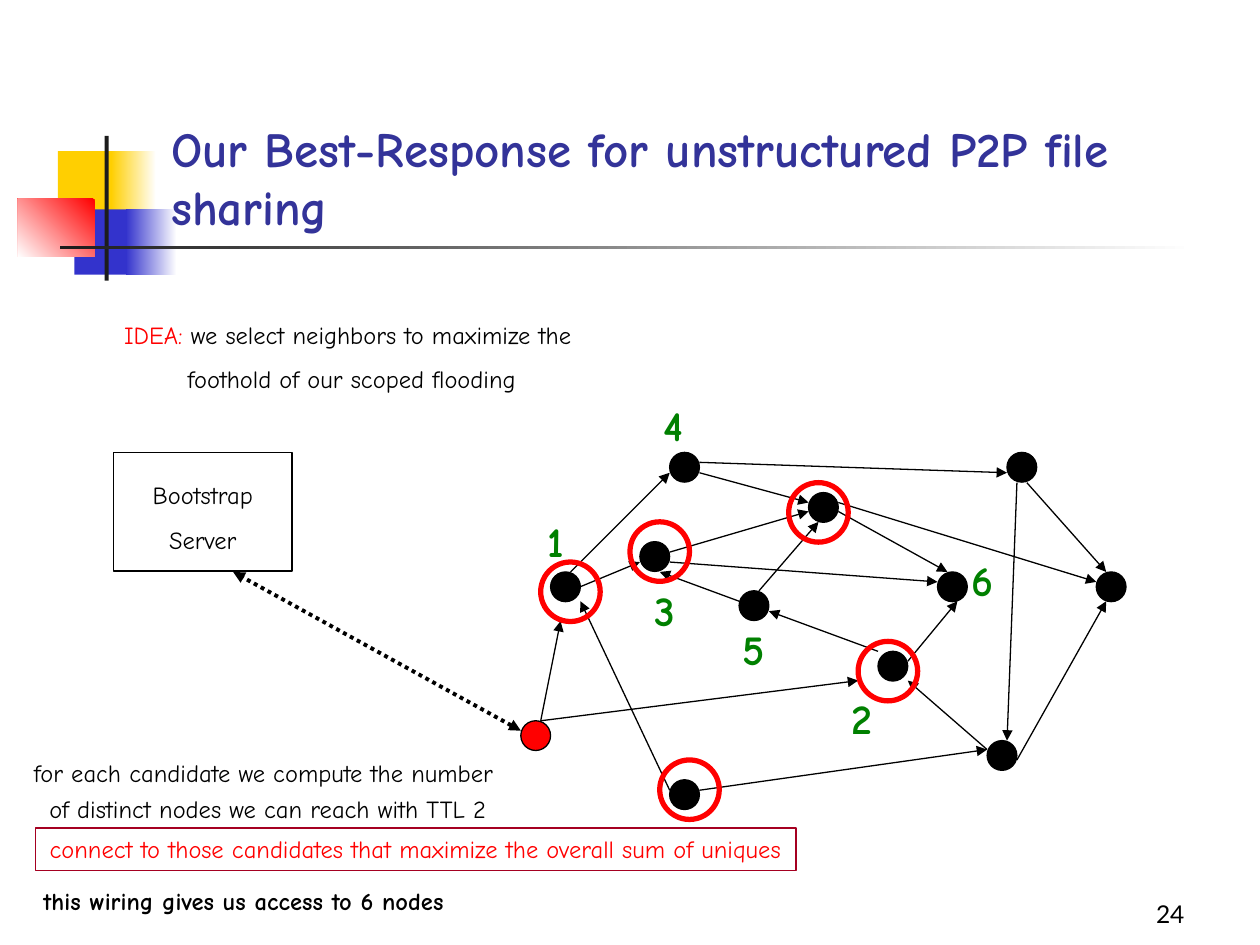
from lxml import etree
from pptx import Presentation
from pptx.dml.color import RGBColor
from pptx.enum.dml import MSO_LINE
from pptx.enum.shapes import MSO_CONNECTOR, MSO_SHAPE
from pptx.enum.text import MSO_ANCHOR, MSO_AUTO_SIZE, PP_ALIGN
from pptx.oxml.ns import qn
from pptx.util import Cm, Pt

RECT, OVAL = MSO_SHAPE.RECTANGLE, MSO_SHAPE.OVAL
STRAIGHT = MSO_CONNECTOR.STRAIGHT
DOTTED = MSO_LINE.ROUND_DOT
TOP, MIDDLE, BOTTOM = MSO_ANCHOR.TOP, MSO_ANCHOR.MIDDLE, MSO_ANCHOR.BOTTOM
LEFT, CENTER, RIGHT = PP_ALIGN.LEFT, PP_ALIGN.CENTER, PP_ALIGN.RIGHT
NO_FIT = MSO_AUTO_SIZE.NONE

FONT = "Comic Neue"
BLACK, WHITE, RED, GREEN = "000000", "FFFFFF", "FF0000", "008000"
YELLOW, BLUE, DARK = "FFCF01", "3333CC", "1C1C1C"
NODE, RING = 0.6, 1.2  # diameters in cm

# Top left corners in cm
SOURCE = (10.5, 14.53)
PEERS = [(12.9, 10.92), (14.9, 11.91), (17.7, 13.13), (13.5, 15.72),
         (13.5, 9.12), (16.3, 9.93), (18.9, 11.53), (19.9, 14.93),
         (22.1, 11.53), (20.3, 9.12), (11.1, 11.53)]
CANDIDATE_RINGS = [(10.9, 11.33), (12.7, 10.52), (15.9, 9.73),
                   (13.3, 15.32), (17.3, 12.93)]

# Start x, y and end x, y of each overlay link
LINKS = [
    (10.9, 14.53, 11.3, 12.52), (10.9, 14.53, 17.3, 13.72),
    (11.5, 11.53, 13.5, 9.53), (11.5, 11.91, 12.9, 11.33),
    (13.5, 11.13, 16.3, 10.31), (13.5, 11.33, 18.9, 11.73),
    (14.1, 15.93, 19.9, 15.11), (18.3, 13.33, 19.3, 12.12),
    (17.7, 13.13, 15.5, 12.32), (14.1, 9.53, 16.3, 10.13),
    (14.1, 9.32, 20.3, 9.53), (15.3, 11.91, 16.5, 10.52),
    (14.9, 12.12, 13.3, 11.53), (13.5, 15.93, 11.7, 12.12),
    (16.9, 10.31, 19.1, 11.53), (16.9, 10.13, 22.1, 11.73),
    (20.7, 9.73, 22.3, 11.53), (20.5, 9.73, 20.3, 14.93),
    (19.9, 15.11, 18.3, 13.72), (20.5, 15.32, 22.3, 12.12),
]

# Number, centre x and top of its label
REACHED = [("1", 11.21, 10.26), ("2", 17.37, 13.84), ("3", 13.41, 11.66),
           ("4", 13.58, 7.92), ("5", 15.2, 12.45), ("6", 19.8, 11.05)]


def rgb(value):
    return RGBColor.from_string(value)


def write(shape, text, size=14, color=BLACK, bold=False, font=FONT,
          align=CENTER, anchor=TOP, wrap=True, gap=0, lead=""):
    """Fill a shape with text; lead is a red opening on the first line."""
    tf = shape.text_frame
    tf.auto_size, tf.word_wrap, tf.vertical_anchor = NO_FIT, wrap, anchor
    for i, line in enumerate(text.split("\n")):
        p = tf.add_paragraph() if i else tf.paragraphs[0]
        p.alignment = align
        p.space_before = Pt(gap if i else 0)
        runs = [(line, color)]
        if lead and i == 0:
            runs.insert(0, (lead, RED))
        for part, tint in runs:
            r = p.add_run()
            r.text = part
            r.font.name, r.font.size, r.font.bold = font, Pt(size), bold
            r.font.color.rgb = rgb(tint)


def add_text(s, box, text, **fmt):
    write(s.shapes.add_textbox(*map(Cm, box)), text, **fmt)


def add_shape(s, kind, box, fill=None, line=None, width=0.75):
    sp = s.shapes.add_shape(kind, *map(Cm, box))
    sp.shadow.inherit = False
    if fill:
        sp.fill.solid()
        sp.fill.fore_color.rgb = rgb(fill)
    else:
        sp.fill.background()
    if line:
        sp.line.color.rgb = rgb(line)
        sp.line.width = Pt(width)
    else:
        sp.line.fill.background()
    return sp


def add_fade(s, box, start, end, angle=180):
    sp = add_shape(s, RECT, box)
    sp.fill.gradient()
    sp.fill.gradient_angle = angle
    for stop, color in zip(sp.fill.gradient_stops, (start, end)):
        stop.color.rgb = rgb(color)


def add_arrow(s, ends, width=0.75, dash=None, heads=("tailEnd",)):
    c = s.shapes.add_connector(STRAIGHT, *map(Cm, ends))
    c.line.color.rgb = rgb(BLACK)
    c.line.width = Pt(width)
    if dash:
        c.line.dash_style = dash
    ln = c.line._get_or_add_ln()
    for head in heads:
        etree.SubElement(ln, qn(f"a:{head}"), type="triangle")
    etree.SubElement(c._element.spPr, qn("a:effectLst"))


def add_decoration(s):
    add_shape(s, RECT, (1.17, 3.05, 1.22, 1.32), YELLOW)
    add_fade(s, (2.24, 3.05, 0.91, 1.32), WHITE, YELLOW)
    add_shape(s, RECT, (1.5, 4.22, 1.17, 1.32), BLUE)
    add_fade(s, (2.54, 4.22, 1.02, 1.32), WHITE, BLUE)
    add_fade(s, (0.36, 4.01, 1.55, 1.17), RED, WHITE, 225)
    add_shape(s, RECT, (2.11, 2.74, 0.08, 2.92), DARK)
    add_fade(s, (1.22, 4.95, 22.86, 0.08), WHITE, DARK)


def add_title(s, text):
    title = s.shapes.title
    title.left, title.top = Cm(3.2), Cm(1.7)
    title.width, title.height = Cm(21.64), Cm(3.18)
    write(title, text, size=28, color="333399", bold=True,
          align=LEFT, anchor=BOTTOM)
    s.shapes._spTree.append(title._element)  # in front of the decoration


def add_network(s):
    add_shape(s, OVAL, (*SOURCE, NODE, NODE), RED, BLACK)
    for peer in PEERS:
        add_shape(s, OVAL, (*peer, NODE, NODE), BLACK, BLACK)
    for link in LINKS:
        add_arrow(s, link)
    for ring in CANDIDATE_RINGS:
        add_shape(s, OVAL, (*ring, RING, RING), line=RED, width=3)
    for number, center, top in REACHED:
        add_text(s, (center - 0.45, top, 0.9, 1.27), number, size=24,
                 color=GREEN, bold=True, wrap=False)


def add_bootstrap(s):
    server = add_shape(s, RECT, (2.29, 9.12, 3.6, 2.39), line=BLACK)
    server.text_frame.margin_top = Cm(0.35)
    write(server, "Bootstrap\nServer", anchor=MIDDLE, gap=8.8)
    add_arrow(s, (10.5, 14.73, 4.7, 11.53), 2.25, DOTTED,
              ("headEnd", "tailEnd"))


def main():
    prs = Presentation()
    prs.slide_width, prs.slide_height = Cm(25.4), Cm(19.05)
    s = prs.slides.add_slide(prs.slide_layouts[5])

    add_decoration(s)
    add_title(s, "Our Best-Response for unstructured P2P file sharing")
    add_text(s, (1.09, 6.32, 12.01, 2.67),
             " we select neighbors to maximize the \n"
             "foothold of our scoped flooding", lead="IDEA:", gap=8.8)
    add_network(s)
    add_bootstrap(s)

    # Explanation below the network
    add_text(s, (0.41, 15.16, 9.98, 1.57),
             "for each candidate we compute the number \n"
             "of distinct nodes we can reach with TTL 2", wrap=False, gap=3.5)
    rule = add_shape(s, RECT, (0.71, 16.69, 15.34, 0.86), line="A50021")
    write(rule, "connect to those candidates that maximize the overall "
          "sum of uniques", color=RED, wrap=False)
    add_text(s, (0.61, 17.73, 8.61, 0.86),
             "this wiring gives us access to 6 nodes", bold=True, wrap=False)

    # Page number
    add_text(s, (18.85, 17.58, 5.28, 1.27), "24", font="Lato",
             align=RIGHT, anchor=BOTTOM)
    prs.save("out.pptx")


if __name__ == "__main__":
    main()
